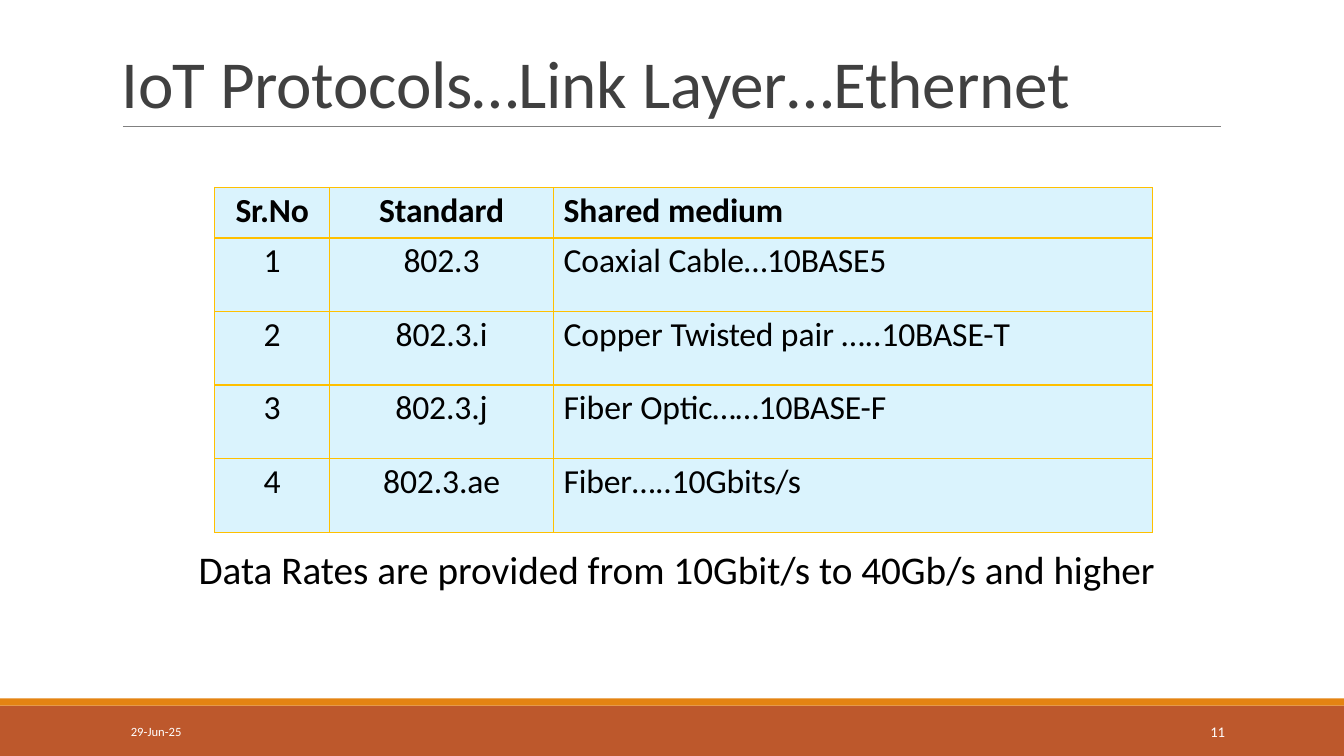
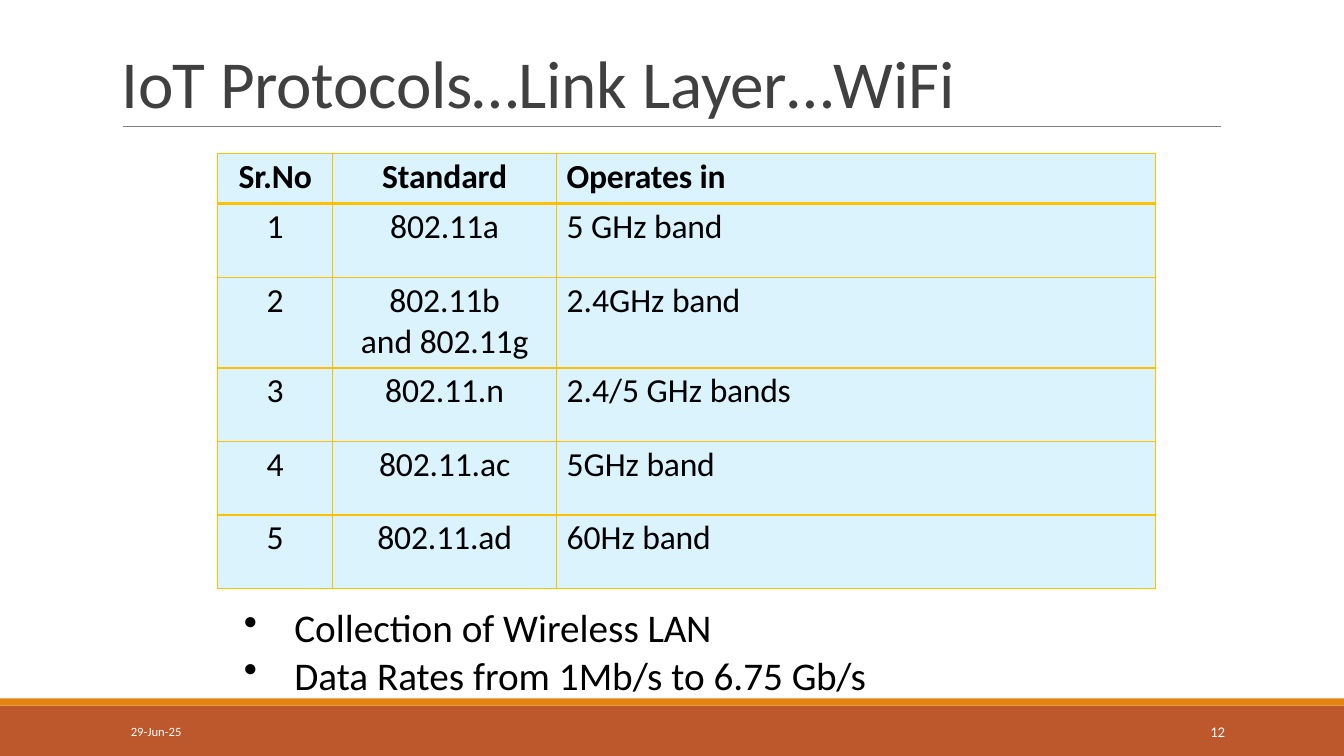
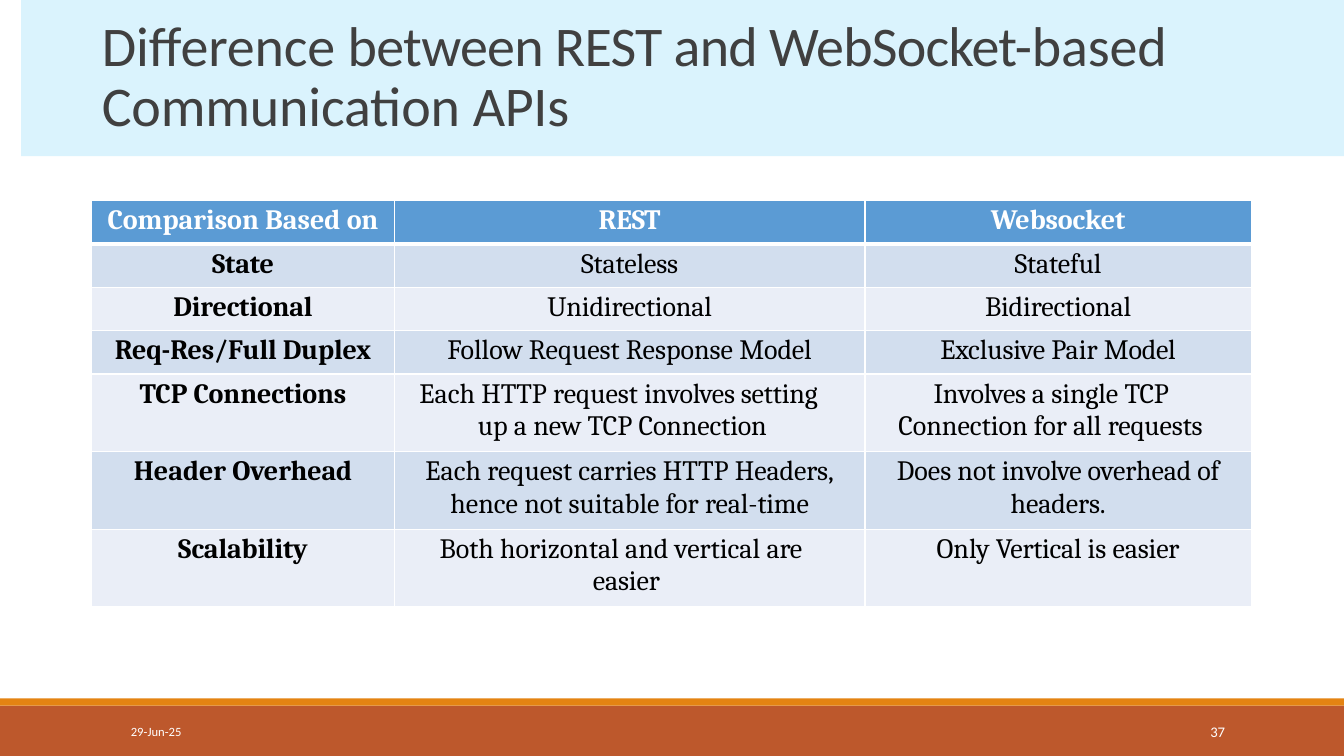
"""Build three slides on link layer protocols and web APIs."""
from dataclasses import dataclass, replace
from typing import NamedTuple

from lxml.etree import SubElement as Sub
from pptx import Presentation as Deck
from pptx.dml.color import RGBColor as Rgb
from pptx.enum.shapes import MSO_CONNECTOR as Link, MSO_SHAPE as Form
from pptx.enum.text import MSO_ANCHOR as Anchor, MSO_AUTO_SIZE as Fit, PP_ALIGN as Align
from pptx.oxml.ns import qn
from pptx.slide import Slide
from pptx.table import _Cell as Cell
from pptx.text.text import TextFrame as Frame
from pptx.util import Inches, Pt

WIDE, HIGH = 13.33, 7.5
BLACK, WHITE, GREY, DARK = "000000", "FFFFFF", "808080", "404040"
RUST, AMBER, GOLD, PALE = "BD582C", "E48312", "FFC000", "DAF3FD"
BLUE, MIST, HAZE = "5B9BD4", "D2DEEE", "EAEEF7"


class Box(NamedTuple):
    left: float
    top: float
    width: float
    height: float


class Run(NamedTuple):
    text: str
    gap: float = 0


@dataclass(frozen=True)
class Look:
    size: float
    ink: str = BLACK
    font: str = "Calibri"
    bold: bool = False


@dataclass(frozen=True)
class Para:
    runs: tuple[Run, ...]
    align: Align = Align.LEFT
    left: float = 0
    first: float = 0
    right: float = 0
    before: float = 0
    line: float = 0
    mark: str = ""


Entry = tuple[Para, ...]


@dataclass(frozen=True)
class Grid:
    left: float
    top: float
    cols: list[float]
    rows: list[float]
    cells: list[list[Entry]]
    look: Look
    fills: tuple[str, str, str]
    edge: str
    heavy: float
    inset: float
    head: str = BLACK
    stub: bool = False


def tint(code: str) -> Rgb:
    return Rgb.from_string(code)


def write(frame: Frame, paras: Entry, look: Look) -> None:
    for i, para in enumerate(paras):
        item = frame.paragraphs[0] if i == 0 else frame.add_paragraph()
        item.alignment = para.align
        item.space_before = Pt(para.before)
        if para.line:
            item.line_spacing = Pt(para.line)
        props = item._p.get_or_add_pPr()
        for key, size in (("marL", para.left), ("marR", para.right), ("indent", para.first)):
            props.set(key, str(Inches(size)))
        if para.mark:
            Sub(props, qn("a:buChar")).set("char", para.mark)
        for part in para.runs:
            run = item.add_run()
            run.text = part.text
            font = run.font
            font.name, font.size, font.bold = look.font, Pt(look.size), look.bold
            font.color.rgb = tint(look.ink)
            run._r.get_or_add_rPr().set("spc", str(round(part.gap * 100)))


def add_text(slide: Slide, box: Box, paras: Entry, look: Look,
             anchor: Anchor = Anchor.TOP, inset: Box = Box(0, 0.01, 0, 0),
             fit: Fit = Fit.SHAPE_TO_FIT_TEXT) -> None:
    frame = slide.shapes.add_textbox(*map(Inches, box)).text_frame
    frame.word_wrap, frame.auto_size = True, fit
    frame.vertical_anchor = anchor
    (frame.margin_left, frame.margin_top,
     frame.margin_right, frame.margin_bottom) = map(Inches, inset)
    write(frame, paras, look)


def add_band(slide: Slide, box: Box, fill: str) -> None:
    band = slide.shapes.add_shape(Form.RECTANGLE, *map(Inches, box))
    band.shadow.inherit = False
    band.fill.solid()
    band.fill.fore_color.rgb = tint(fill)
    band.line.fill.background()


def add_rule(slide: Slide) -> None:
    ends = map(Inches, (1.22, 1.25, 12.11, 1.25))
    rule = slide.shapes.add_connector(Link.STRAIGHT, *ends)
    rule.line.color.rgb = tint(GREY)
    rule.line.width = Pt(0.5)
    Sub(rule._element.spPr, qn("a:effectLst"))


def add_base(slide: Slide, page: int) -> None:
    add_band(slide, Box(0, 7, WIDE, 0.5), RUST)
    add_band(slide, Box(0, 6.93, WIDE, 0.07), AMBER)
    pad = Box(0.1, 0.05, 0.1, 0.05)
    for left, width, text, size, align in (
            (1.2, 2.7, "29-Jun-25", 9, Align.LEFT),
            (10.82, 1.43, str(page), 10.5, Align.RIGHT)):
        add_text(slide, Box(left, 7.06, width, 0.4), (Para((Run(text),), align),),
                 Look(size, WHITE), Anchor.MIDDLE, pad, Fit.NONE)


def add_edges(cell: Cell, grid: Grid, row: int) -> None:
    props = cell._tc.get_or_add_tcPr()
    widths = {"L": 1, "R": 1, "T": grid.heavy if row == 1 else 1,
              "B": grid.heavy if row == 0 else 1}
    for side, width in widths.items():
        line = Sub(props, qn(f"a:ln{side}"), w=str(Pt(width)))
        Sub(Sub(line, qn("a:solidFill")), qn("a:srgbClr"), val=grid.edge)


def add_grid(slide: Slide, grid: Grid) -> None:
    box = Box(grid.left, grid.top, sum(grid.cols), sum(grid.rows))
    table = slide.shapes.add_table(len(grid.rows), len(grid.cols), *map(Inches, box)).table
    table.horz_banding = False
    for i, width in enumerate(grid.cols):
        table.columns[i].width = Inches(width)
    for i, entries in enumerate(grid.cells):
        table.rows[i].height = Inches(grid.rows[i])
        fill = grid.fills[0] if i == 0 else grid.fills[2 - i % 2]
        for j, paras in enumerate(entries):
            cell = table.cell(i, j)
            add_edges(cell, grid, i)
            cell.fill.solid()
            cell.fill.fore_color.rgb = tint(fill)
            cell.margin_left = cell.margin_right = cell.margin_bottom = 0
            cell.margin_top = Inches(grid.inset)
            look = replace(grid.look, ink=grid.head if i == 0 else grid.look.ink,
                           bold=i == 0 or (grid.stub and j == 0))
            write(cell.text_frame, paras, look)


def mid(*lines: tuple[Run, ...], before: float = 3) -> Entry:
    return tuple(Para(runs, Align.CENTER, before=0 if i else before)
                 for i, runs in enumerate(lines))


def hang(left: float, first: float, *runs: Run, right: float = 0) -> Entry:
    return (Para(runs, left=left, first=first, right=right, before=3),)


def link_grid(left: float, top: float, rows: list[float],
              head: tuple[Run, ...], body: list[tuple[Entry, tuple[Run, ...]]]) -> Grid:
    def lead(runs: tuple[Run, ...]) -> Entry:
        return (Para(runs, left=0.1, before=2),)

    cells = [[mid((Run("Sr.No", -0.1),), before=2),
              mid((Run("Standard", -0.1),), before=2), lead(head)]]
    for i, (name, note) in enumerate(body, 1):
        cells.append([mid((Run(str(i), -0.5),), before=2), name, lead(note)])
    return Grid(left, top, [1.14, 2.22, 5.94], rows, cells, Look(24),
                (PALE, PALE, PALE), GOLD, 2.25, 0.03)


def name(text: str) -> Entry:
    return mid((Run(text, -0.1),), before=2)


def link_slide(slide: Slide, page: int, topic: str, grid: Grid) -> None:
    add_base(slide, page)
    add_rule(slide)
    runs = (Run("IoT ", -0.5), Run("Protocols…Link ", -0.2), Run(f"Layer…{topic}", -0.1))
    add_text(slide, Box(1.2, 0.39, 10.99, 0.82), (Para(runs, left=0.01, before=1),),
             Look(48, DARK), Anchor.BOTTOM)
    add_grid(slide, grid)


def ether_slide(slide: Slide) -> None:
    body = [
        (name("802.3"), (Run("Coaxial "), Run("Cable…10BASE5", -0.1))),
        (name("802.3.i"), (Run("Copper "), Run("Twisted ", -0.2), Run("pair "),
                           Run("…..10BASE-", -0.1), Run("T", -0.5))),
        (name("802.3.j"), (Run("Fiber "), Run("Optic……10BASE-", -0.1), Run("F", -0.5))),
        (name("802.3.ae"), (Run("Fiber…..10Gbits/s", -0.1),)),
    ]
    head = (Run("Shared "), Run("medium", -0.1))
    link_slide(slide, 11, "Ethernet",
               link_grid(2.13, 1.86, [0.5] + [0.73] * 4, head, body))
    runs = (Run("Data Rates are provided from 10Gbit/s to 40Gb/s and "), Run("higher", -0.1))
    add_text(slide, Box(1.96, 5.4, 9.53, 0.49), (Para(runs, left=0.01, before=0.9),), Look(28))


def wifi_slide(slide: Slide) -> None:
    pair = mid((Run("802.11b", -0.1),), (Run("and "), Run("802.11g", -0.1)), before=2)
    body = [
        (name("802.11a"), (Run("5 GHz "), Run("band", -0.2))),
        (pair, (Run("2.4GHz "), Run("band", -0.2))),
        (name("802.11.n"), (Run("2.4/5 GHz "), Run("bands", -0.2))),
        (name("802.11.ac"), (Run("5GHz "), Run("band", -0.2))),
        (name("802.11.ad"), (Run("60Hz "), Run("band", -0.2))),
    ]
    head = (Run("Operates ", -0.1), Run("in", -0.2))
    rows = [0.5, 0.73, 0.9] + [0.73] * 3
    link_slide(slide, 12, "WiFi", link_grid(2.16, 1.52, rows, head, body))
    notes = (("Collection of Wireless ", "LAN"), ("Data Rates from 1Mb/s to 6.75 ", "Gb/s"))
    paras = tuple(Para((Run(start), Run(end, -0.2)), left=0.51, first=-0.5, mark="•")
                  for start, end in notes)
    add_text(slide, Box(2.41, 5.98, 6.22, 0.96), paras, Look(28))


def api_slide(slide: Slide) -> None:
    add_base(slide, 37)
    cells = [
        [mid((Run("Comparison Based "), Run("on", -0.2))),
         mid((Run("REST", -0.2),)), mid((Run("Websocket", -0.1),))],
        *[[mid((Run(text, -0.1),)) for text in row] for row in (
            ("State", "Stateless", "Stateful"),
            ("Directional", "Unidirectional", "Bidirectional"))],
        [mid((Run("Req-", -0.2), Run("Res/Full Duplex", -0.1))),
         mid((Run("Follow Request Response "), Run("Model", -0.1))),
         mid((Run("Exclusive ", -0.1), Run("Pair "), Run("Model", -0.2)))],
        [mid((Run("TCP "), Run("Connections", -0.1))),
         hang(0.83, -0.58, Run("Each HTTP request "), Run("involves ", -0.2),
              Run("setting ", -0.1), Run("up a new TCP "), Run("Connection", -0.1), right=0.4),
         hang(0.33, 0.35, Run("Involves ", -0.2), Run("a single "), Run("TCP ", -0.2),
              Run("Connection for all "), Run("requests", -0.1))],
        [mid((Run("Header "), Run("Overhead", -0.1))),
         mid((Run("Each request carries HTTP "), Run("Headers,", -0.1)),
             (Run("hence not suitable for "), Run("real-", -0.1), Run("time", -0.2))),
         mid((Run("Does not "), Run("involve ", -0.2), Run("overhead ", -0.1), Run("of", -0.2)),
             (Run("headers.", -0.1),))],
        [mid((Run("Scalability", -0.1),)),
         hang(1.97, -1.52, Run("Both horizontal and vertical "), Run("are ", -0.2),
              Run("easier", -0.1), right=0.4),
         mid((Run("Only "), Run("Vertical ", -0.2), Run("is "), Run("easier", -0.1)))],
    ]
    add_grid(slide, Grid(0.91, 1.99, [3, 4.67, 3.83], [0.43] * 4 + [0.77] * 3, cells,
                         Look(20, font="Cambria"), (BLUE, MIST, HAZE), WHITE, 3, 0.04,
                         head=WHITE, stub=True))
    add_band(slide, Box(0.21, 0, WIDE - 0.21, 1.55), PALE)
    runs = (Run("Difference ", -0.1), Run("between REST and WebSocket-", -0.5),
            Run("based Communication ", -0.1), Run("APIs", -0.2))
    add_text(slide, Box(1, 0.08, 10.81, 1.29),
             (Para(runs, left=0.01, before=6.4, line=43.2),), Look(40, DARK),
             Anchor.BOTTOM, Box(0, 0.09, 0, 0))


def main() -> None:
    deck = Deck()
    deck.slide_width, deck.slide_height = Inches(WIDE), Inches(HIGH)
    for build in (ether_slide, wifi_slide, api_slide):
        build(deck.slides.add_slide(deck.slide_layouts[6]))
    deck.save("out.pptx")


if __name__ == "__main__":
    main()
